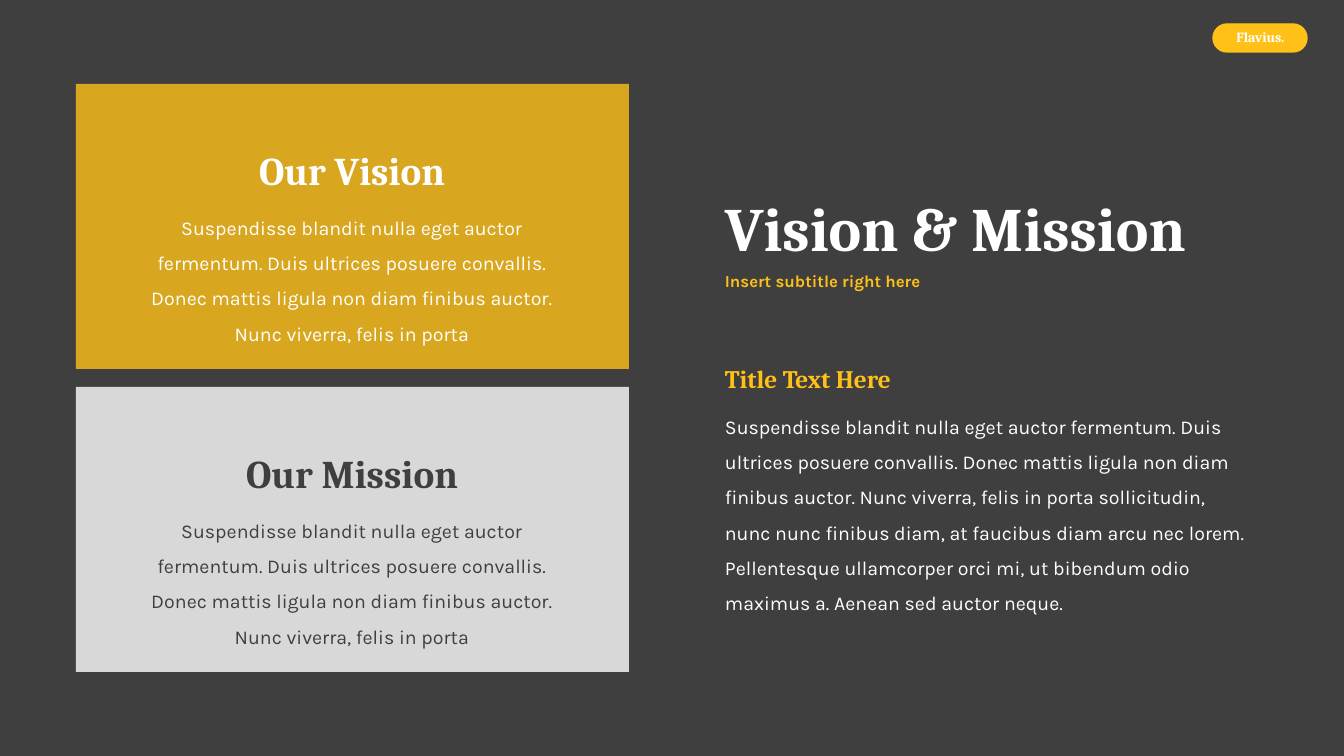
import pptx
import pptx.dml.color
import pptx.enum.shapes
import pptx.enum.text
import pptx.oxml
import pptx.oxml.ns
import pptx.util

RGB = pptx.dml.color.RGBColor
SHAPE = pptx.enum.shapes.MSO_SHAPE
ALIGN = pptx.enum.text.PP_ALIGN
ANCHOR = pptx.enum.text.MSO_ANCHOR
AUTO = pptx.enum.text.MSO_AUTO_SIZE

DARK = RGB(0x3F, 0x3F, 0x3F)
YELLOW = RGB(0xFF, 0xC1, 0x18)
WHITE = RGB(0xFF, 0xFF, 0xFF)
SERIF = "Cambria"
SANS = "Karla"

CARD_TOP = 84
CARD_PITCH = 303
CARD_TEXT = (
    "Suspendisse blandit nulla eget auctor fermentum. Duis ultrices posuere "
    "convallis. Donec mattis ligula non diam finibus auctor. "
    "Nunc viverra, felis in porta"
)
BODY_TEXT = (
    "Suspendisse blandit nulla eget auctor fermentum. Duis ultrices posuere "
    "convallis. Donec mattis ligula non diam finibus auctor. Nunc viverra, "
    "felis in porta sollicitudin, nunc nunc finibus diam, at faucibus diam "
    "arcu nec lorem. Pellentesque ullamcorper orci mi, ut bibendum odio "
    "maximus a. Aenean sed auctor neque."
)


def px(n):
    """Turn slide pixels into EMU."""
    return pptx.util.Emu(round(n * 914400 / 100.8))


def add_box(s, kind, box, color, alpha=None):
    """Add a filled preset shape without outline, optionally translucent."""
    sp = s.shapes.add_shape(kind, *map(px, box))
    sp.shadow.inherit = False
    sp.fill.solid()
    sp.fill.fore_color.rgb = color
    sp.line.fill.background()
    if alpha is not None:
        clr = sp.fill._xPr.find(".//" + pptx.oxml.ns.qn("a:srgbClr"))
        a = pptx.oxml.parse_xml(
            f'<a:alpha {pptx.oxml.ns.nsdecls("a")} val="{alpha * 1000}"/>')
        clr.append(a)
    return sp


def add_text(s, box, text, size, font, color, bold=False,
             align=ALIGN.LEFT, spacing=1.0, anchor=ANCHOR.TOP):
    """Add a wrapped one-paragraph text box."""
    sp = s.shapes.add_textbox(*map(px, box))
    tf = sp.text_frame
    tf.word_wrap = True
    tf.auto_size = AUTO.SHAPE_TO_FIT_TEXT if anchor == ANCHOR.TOP else AUTO.NONE
    tf.vertical_anchor = anchor
    tf.text = text
    p = tf.paragraphs[0]
    p.alignment = align
    p.line_spacing = spacing
    r = p.runs[0]
    r.font.size = pptx.util.Pt(size)
    r.font.name = font
    r.font.bold = bold
    r.font.color.rgb = color


def add_badge(s):
    """Add the rounded name badge in the top right corner."""
    sp = add_box(s, SHAPE.ROUNDED_RECTANGLE, (1213, 24, 94, 28), YELLOW)
    sp.adjustments[0] = 0.5
    sp.line.color.rgb = YELLOW
    sp.line.width = pptx.util.Pt(1)
    add_text(s, (1222, 24, 77, 27), "Flavius.", 10, SERIF, WHITE, True,
             ALIGN.CENTER)


def add_card(s, top, title, fill, color):
    """Add a translucent card with a centred title and text."""
    add_box(s, SHAPE.RECTANGLE, (76, top, 553, 285), fill, 80)
    add_text(s, (212, top + 57, 280, 58), title, 28, SERIF, color, True,
             ALIGN.CENTER)
    add_text(s, (131, top + 115, 442, 113), CARD_TEXT, 14, SANS, color,
             align=ALIGN.CENTER, spacing=1.5)


def main():
    """Build the vision and mission slide."""
    prs = pptx.Presentation()
    prs.slide_width, prs.slide_height = px(1344), px(756)
    s = prs.slides.add_slide(prs.slide_layouts[6])
    s.background.fill.solid()
    s.background.fill.fore_color.rgb = DARK

    add_badge(s)
    cards = [("Our Vision", YELLOW, WHITE), ("Our Mission", WHITE, DARK)]
    for i, (title, fill, color) in enumerate(cards):
        add_card(s, CARD_TOP + i * CARD_PITCH, title, fill, color)

    add_text(s, (715, 179, 629, 104), "Vision & Mission", 44, SERIF, WHITE,
             True, spacing=0.9, anchor=ANCHOR.MIDDLE)
    add_text(s, (715, 263, 629, 38), "Insert subtitle right here", 12, SANS,
             YELLOW, True, spacing=0.9, anchor=ANCHOR.MIDDLE)
    add_text(s, (715, 358, 245, 40), "Title Text Here", 18, SERIF, YELLOW, True)
    add_text(s, (715, 398, 548, 184), BODY_TEXT, 14, SANS, WHITE, spacing=1.5)

    prs.save("out.pptx")


if __name__ == "__main__":
    main()
